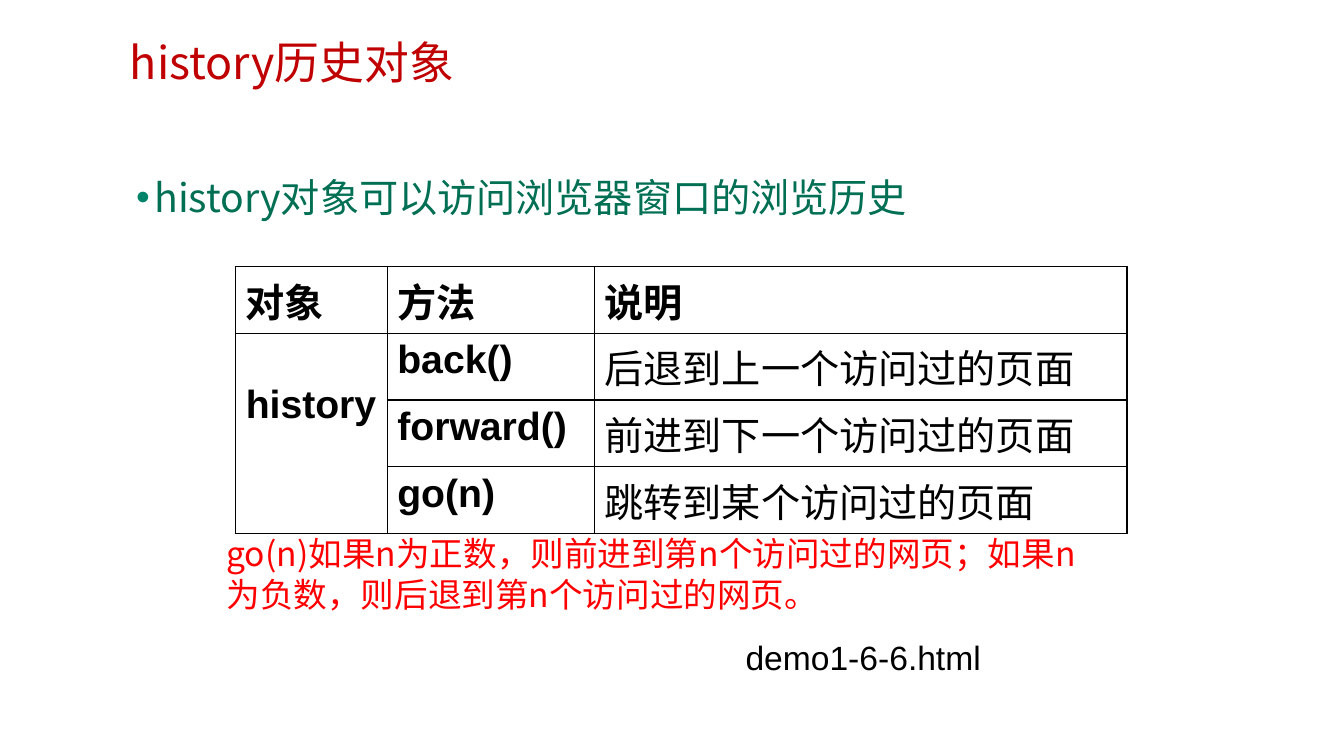
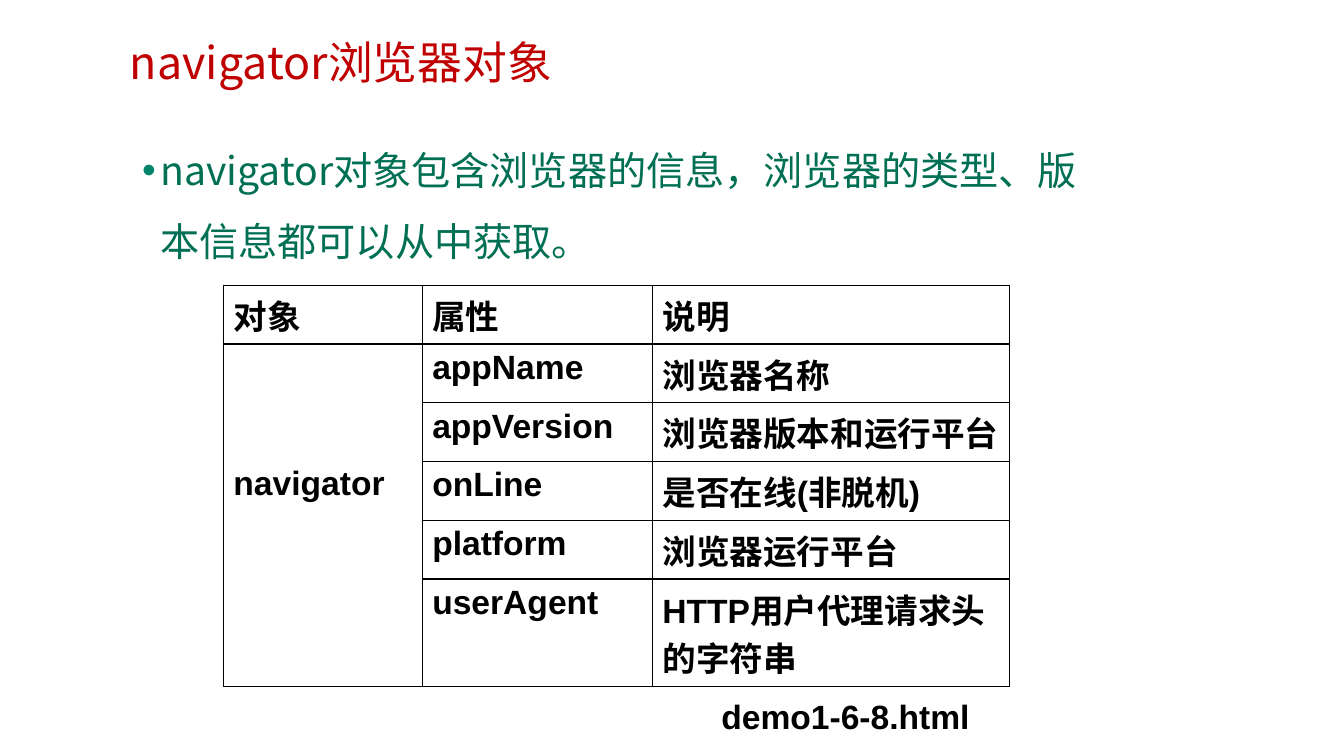
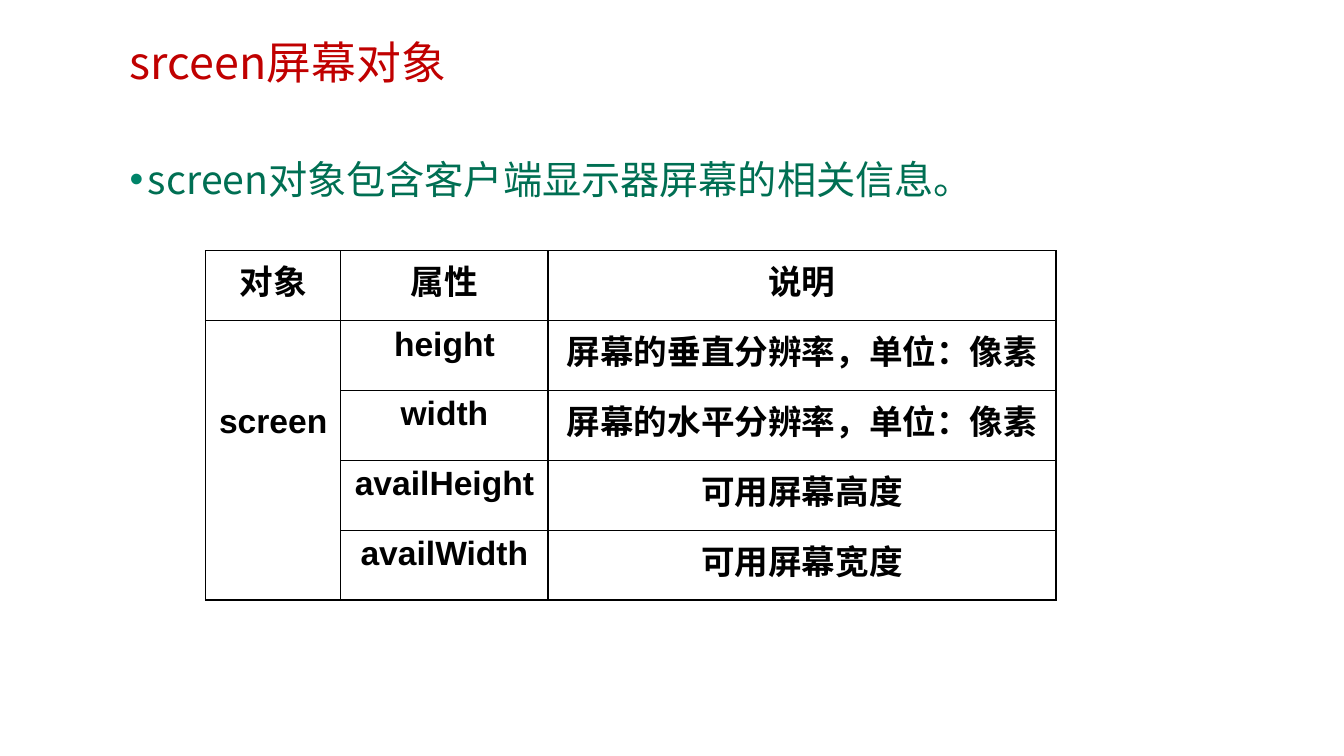
from dataclasses import dataclass

from lxml.etree import SubElement
from pptx import Presentation
from pptx.dml.color import RGBColor as Color
from pptx.enum.text import MSO_ANCHOR as Anchor, MSO_AUTO_SIZE as AutoSize, PP_ALIGN as Align
from pptx.oxml.ns import qn
from pptx.util import Cm, Pt

TITLE_ONLY = 5


@dataclass(frozen=True)
class Theme:
    title_color: str = "C00000"
    body_color: str = "006F53"
    bullet_color: str = "008469"
    note_color: str = "FF0000"
    ink: str = "000000"
    latin_font: str = "Arial"
    chinese_font: str = "Noto Sans CJK SC"
    title_size: int = 32
    body_size: int = 28
    small_size: int = 24
    title_pitch: int = 41
    body_pitch: int = 51
    note_pitch: int = 29
    border_width: int = 1


class Deck:
    def __init__(self, theme):
        self.theme = theme
        self.presentation = Presentation()
        self.presentation.slide_width = Cm(33.87)
        self.presentation.slide_height = Cm(19.05)
        self.slide = None

    def add_run(self, paragraph, text, size, color, font, bold=False):
        run = paragraph.add_run()
        run.text = text
        run.font.size = Pt(size)
        run.font.bold = bold
        run.font.name = font
        run.font.color.rgb = Color.from_string(color)
        east_asian = SubElement(run._r.get_or_add_rPr(), qn("a:ea"))
        east_asian.set("typeface", self.theme.chinese_font)

    def add_slide(self, title):
        layout = self.presentation.slide_layouts[TITLE_ONLY]
        self.slide = self.presentation.slides.add_slide(layout)
        shape = self.slide.shapes.title
        shape.left, shape.top, shape.width, shape.height = Cm(3.02), Cm(0.66), Cm(22.76), Cm(1.37)
        frame = shape.text_frame
        frame.auto_size = AutoSize.NONE
        frame.vertical_anchor = Anchor.TOP
        paragraph = frame.paragraphs[0]
        paragraph.alignment = Align.LEFT
        paragraph.line_spacing = Pt(self.theme.title_pitch)
        self.add_run(paragraph, title, self.theme.title_size, self.theme.title_color,
                     self.theme.chinese_font)

    def add_text_box(self, left, top, width, height):
        shape = self.slide.shapes.add_textbox(Cm(left), Cm(top), Cm(width), Cm(height))
        shape.text_frame.word_wrap = True
        return shape.text_frame.paragraphs[0]

    def add_bullet(self, text, left, top, width):
        paragraph = self.add_text_box(left, top, width, 4)
        paragraph.line_spacing = Pt(self.theme.body_pitch)
        properties = paragraph._p.get_or_add_pPr()
        properties.set("marL", str(Cm(0.46)))
        properties.set("indent", str(-Cm(0.46)))
        bullet_color = SubElement(properties, qn("a:buClr"))
        SubElement(bullet_color, qn("a:srgbClr")).set("val", self.theme.bullet_color)
        SubElement(properties, qn("a:buFont")).set("typeface", self.theme.latin_font)
        SubElement(properties, qn("a:buChar")).set("char", "•")
        self.add_run(paragraph, text, self.theme.body_size, self.theme.body_color,
                     self.theme.chinese_font)

    def add_note(self, text, left, top, width):
        paragraph = self.add_text_box(left, top, width, 2.31)
        paragraph.line_spacing = Pt(self.theme.note_pitch)
        self.add_run(paragraph, text, self.theme.small_size, self.theme.note_color,
                     self.theme.chinese_font)

    def add_demo_name(self, text, left, top, bold=False):
        paragraph = self.add_text_box(left, top, 9.8, 1.27)
        self.add_run(paragraph, text, self.theme.small_size, self.theme.ink,
                     self.theme.latin_font, bold)

    def style_cell(self, cell):
        properties = cell._tc.get_or_add_tcPr()
        for side in ("a:lnL", "a:lnR", "a:lnT", "a:lnB"):
            line = SubElement(properties, qn(side), w=str(Pt(self.theme.border_width)))
            fill = SubElement(line, qn("a:solidFill"))
            SubElement(fill, qn("a:srgbClr")).set("val", self.theme.ink)
        cell.fill.background()

    def add_object_table(self, name, header, members, left, top, widths, heights, size,
                         name_offset, align=Align.LEFT, bold_notes=True):
        rows = [header] + [("", *member) for member in members]
        rows[1] = (name, *members[0])
        table = self.slide.shapes.add_table(
            len(rows), len(widths), Cm(left), Cm(top), Cm(sum(widths)), Cm(sum(heights))).table
        table.first_row = table.horz_banding = False
        for column, width in zip(table.columns, widths):
            column.width = Cm(width)
        for row, height in zip(table.rows, heights):
            row.height = Cm(height)
        for row_index, texts in enumerate(rows):
            for column_index, text in enumerate(texts):
                cell = table.cell(row_index, column_index)
                self.style_cell(cell)
                if not text:
                    continue
                paragraph = cell.text_frame.paragraphs[0]
                paragraph.alignment = align
                bold = bold_notes or row_index == 0 or column_index < 2
                self.add_run(paragraph, text, size, self.theme.ink, self.theme.latin_font, bold)
        name_cell = table.cell(1, 0)
        name_cell.merge(table.cell(len(members), 0))
        name_cell.margin_top = Cm(name_offset)


def main():
    theme = Theme()
    deck = Deck(theme)

    deck.add_slide("history历史对象")
    deck.add_bullet("history对象可以访问浏览器窗口的浏览历史", 3.18, 3.63, 26.97)
    deck.add_object_table(
        "history", ("对象", "方法", "说明"),
        [("back()", "后退到上一个访问过的页面"),
         ("forward()", "前进到下一个访问过的页面"),
         ("go(n)", "跳转到某个访问过的页面")],
        5.94, 6.72, (3.82, 5.22, 13.42), [1.68] * 4, theme.body_size,
        name_offset=1.26, bold_notes=False)
    deck.add_demo_name("demo1-6-6.html", 18.54, 15.93)
    deck.add_note("go(n)如果n为正数，则前进到第n个访问过的网页；如果n为负数，则后退到第n个访问过的网页。",
                  5.46, 13.3, 22.4)

    deck.add_slide("navigator浏览器对象")
    deck.add_bullet("navigator对象包含浏览器的信息，浏览器的类型、版本信息都可以从中获取。",
                    3.33, 2.95, 24.38)
    deck.add_object_table(
        "navigator", ("对象", "属性", "说明"),
        [("appName", "浏览器名称"),
         ("appVersion", "浏览器版本和运行平台"),
         ("onLine", "是否在线(非脱机)"),
         ("platform", "浏览器运行平台"),
         ("userAgent", "HTTP用户代理请求头的字符串")],
        5.63, 7.19, (5.01, 5.8, 9), [1.48] * 5 + [2.7], theme.small_size, name_offset=3.05)
    deck.add_demo_name("demo1-6-8.html", 17.93, 17.42, bold=True)

    deck.add_slide("srceen屏幕对象")
    deck.add_bullet("screen对象包含客户端显示器屏幕的相关信息。", 3.02, 3.18, 25.7)
    deck.add_object_table(
        "screen", ("对象", "属性", "说明"),
        [("height", "屏幕的垂直分辨率，单位：像素"),
         ("width", "屏幕的水平分辨率，单位：像素"),
         ("availHeight", "可用屏幕高度"),
         ("availWidth", "可用屏幕宽度")],
        5.18, 6.32, (3.41, 5.22, 12.8), [1.76] * 5, theme.small_size,
        name_offset=2.07, align=Align.CENTER)

    deck.presentation.save("out.pptx")


if __name__ == "__main__":
    main()
